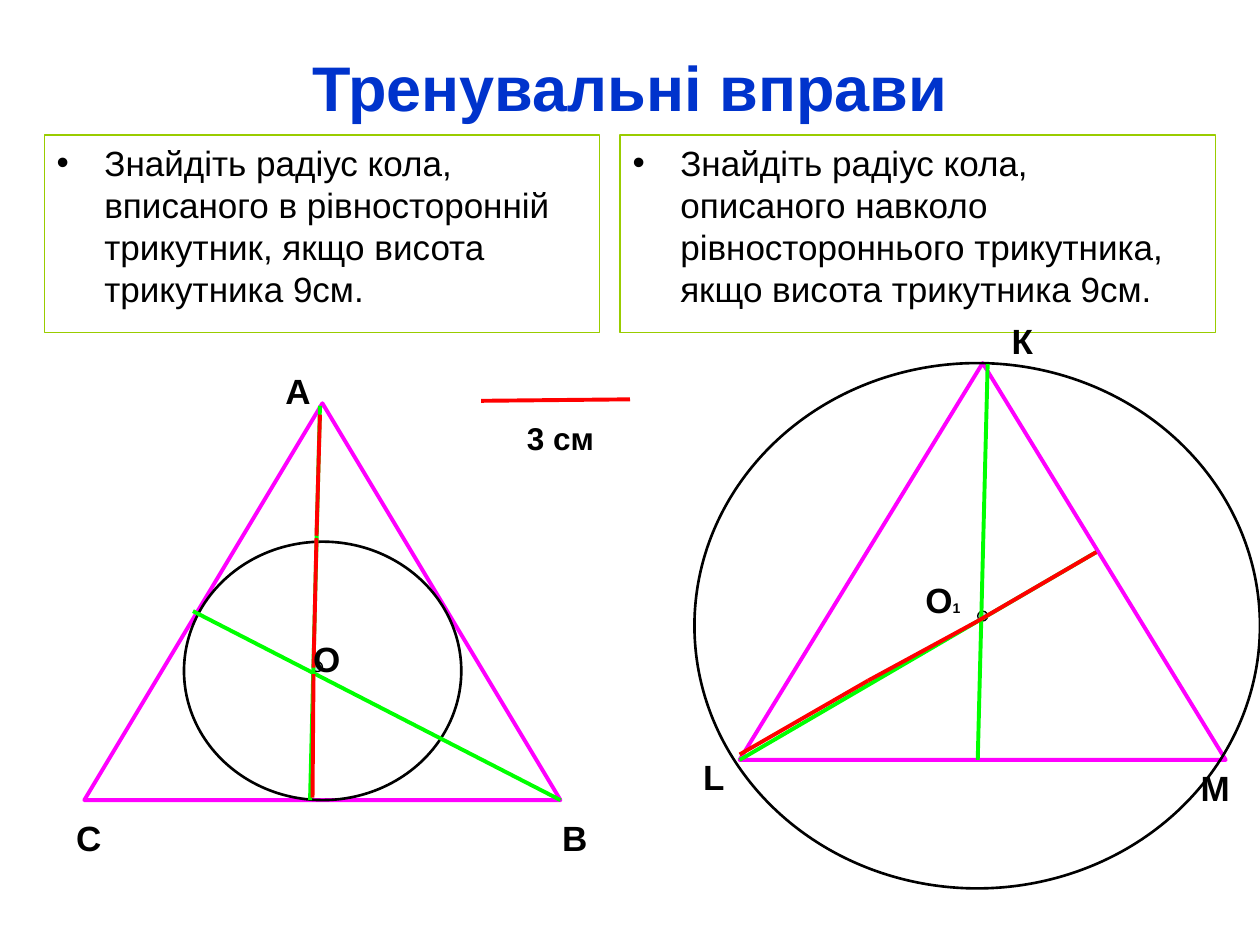
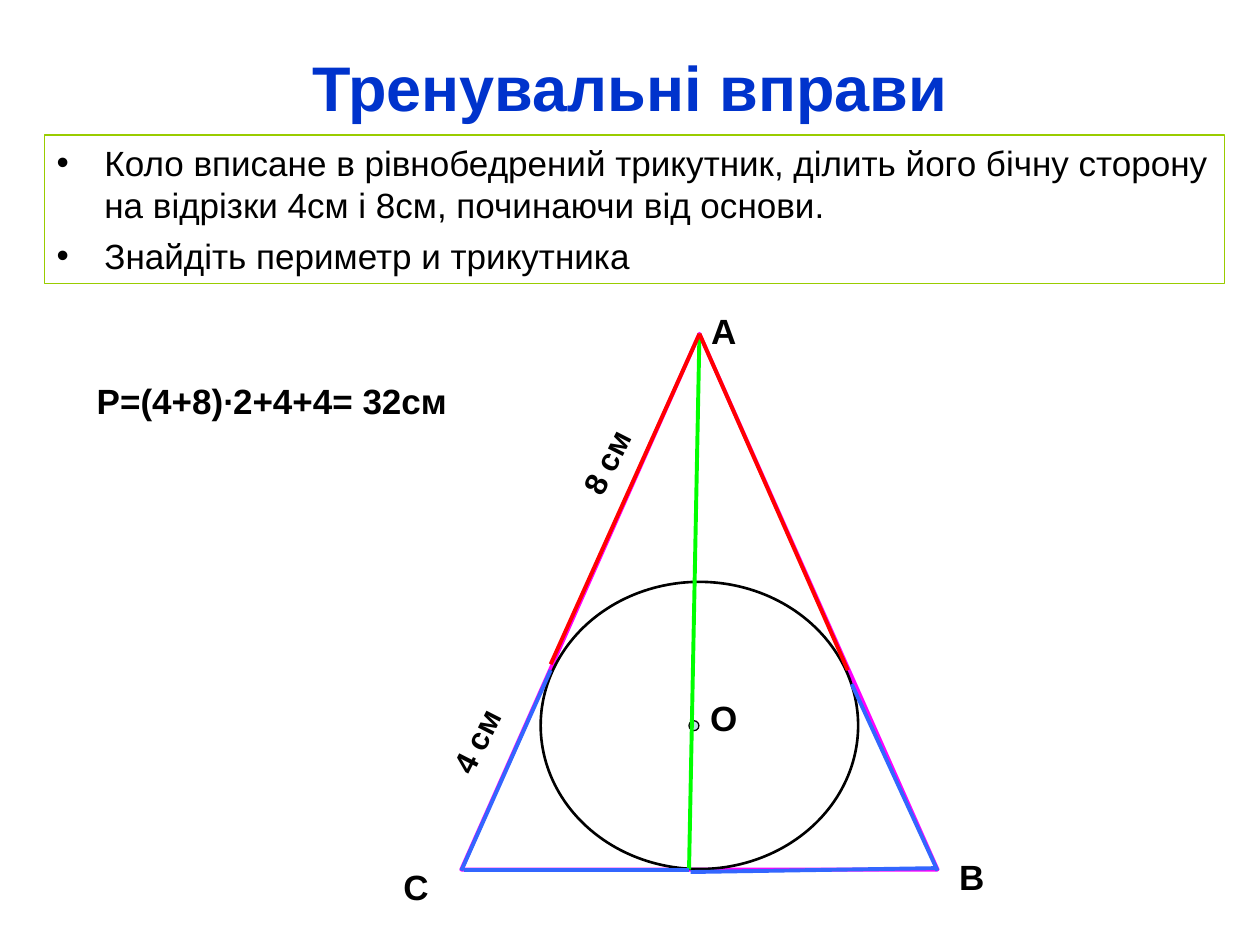
from lxml import etree
from pptx import Presentation
from pptx import util as u
from pptx.dml.color import RGBColor
from pptx.enum import shapes, text
from pptx.oxml.ns import qn

FONT = "Arial"
COLOURS = {
    "title": "0033CC", "text": "000000", "frame": "99CC00", "triangle": "FF00FF",
    "circle": "000000", "centre": "BBE0E3", "height": "00FF00",
    "red": "FF0000", "blue": "3366FF",
}
TITLE = "Тренувальні вправи"
TITLE_BOX = (1.27, 0.76, 22.86, 1.96)
BULLET_INDENT = 0.96
LETTER_SIZE = (1.8, 1.12)
MEASURE_SIZE = (3.2, 1.02)
CENTRE_SIZE = (0.2, 0.2)
SIDE_ANGLE = 296.9

# All places are in centimetres: boxes are left, top, width, height;
# segments are colour, start, end.
SLIDES = [
    {
        "layout": 3,
        "tasks": [
            ((0.89, 2.72, 11.2, 3.99),
             ["Знайдіть радіус кола, вписаного в рівносторонній трикутник, "
              "якщо висота трикутника 9см."]),
            ((12.5, 2.72, 12, 3.99),
             ["Знайдіть радіус кола, описаного навколо рівностороннього "
              "трикутника, якщо висота трикутника 9см."]),
        ],
        "triangles": [(1.7, 8.13, 9.6, 8), (14.91, 7.32, 9.8, 8)],
        "circles": [(3.71, 10.92, 5.59, 5.21), (14, 7.32, 11.4, 10.59)],
        "centres": [(6.3, 13.34), (19.71, 12.32)],
        "segments": [
            ("height", (6.45, 8.18), (6.25, 16.13)),
            ("height", (19.91, 7.34), (19.71, 15.32)),
            ("height", (11.3, 16.13), (3.89, 12.32)),
            ("height", (22.1, 11.13), (14.91, 15.32)),
            ("red", (6.32, 13.59), (6.3, 16.08)),
            ("red", (6.38, 10.85), (6.32, 13.46)),
            ("red", (6.45, 8.36), (6.38, 10.8)),
            ("red", (17.5, 13.72), (14.91, 15.21)),
            ("red", (19.71, 12.52), (17.5, 13.72)),
            ("red", (22.1, 11.13), (19.71, 12.52)),
            ("red", (12.7, 8.05), (9.7, 8.08)),
        ],
        "letters": [
            ("А", (5.11, 7.32)), ("В", (10.69, 16.33)), ("С", (0.89, 16.33)),
            ("К", (19.71, 6.32)), ("L", (13.49, 15.11)), ("M", (23.6, 15.32)),
            ("О", (5.69, 12.73)), ("О1", (18.11, 11.53)),
        ],
        "measures": [("3 см", (9.7, 8.33), 0)],
        "answers": [],
    },
    {
        "layout": 1,
        "tasks": [
            ((0.89, 2.72, 23.8, 3),
             ["Коло вписане в рівнобедрений трикутник, ділить його бічну "
              "сторону на відрізки 4см і 8см, починаючи від основи.",
              "Знайдіть периметр и трикутника"]),
        ],
        "triangles": [(9.3, 6.73, 9.6, 10.8)],
        "circles": [(10.9, 11.73, 6.4, 5.79)],
        "centres": [(13.89, 14.53)],
        "segments": [
            ("height", (13.89, 17.53), (14.1, 6.73)),
            ("blue", (11.1, 13.51), (9.3, 17.55)),
            ("red", (14.1, 6.73), (11.1, 13.39)),
            ("red", (14.1, 6.73), (17.09, 13.51)),
            ("blue", (17.17, 13.79), (18.9, 17.55)),
            ("blue", (13.89, 17.53), (9.35, 17.53)),
            ("blue", (18.9, 17.5), (13.92, 17.58)),
        ],
        "letters": [
            ("А", (13.69, 6.12)), ("В", (18.69, 17.12)),
            ("С", (7.49, 17.32)), ("О", (13.69, 13.92)),
        ],
        "measures": [("8 см", (10.62, 8.81), SIDE_ANGLE),
                     ("4 см", (8, 14.43), SIDE_ANGLE)],
        "answers": [("Р=(4+8)∙2+4+4= 32см", (1.09, 7.52, 8.79, 1.12))],
    },
]


def colour(name):
    return RGBColor.from_string(COLOURS[name])


def in_cm(values):
    return [u.Cm(value) for value in values]


def place(shape, box):
    shape.left, shape.top, shape.width, shape.height = in_cm(box)


def outline(shape, name, width):
    shape.line.color.rgb = colour(name)
    shape.line.width = u.Pt(width)


def add_span(para, words, size=20, bold=False, ink="text"):
    span = para.add_run()
    span.text = words
    span.font.name = FONT
    span.font.size = u.Pt(size)
    span.font.bold = bold
    span.font.color.rgb = colour(ink)


def write(box, lines, align=text.PP_ALIGN.CENTER, anchor=text.MSO_ANCHOR.TOP,
          before=0, bullet=False, **look):
    """Fill the box with one paragraph per line; look goes to add_span."""
    frame = box.text_frame
    frame.word_wrap = True
    frame.auto_size = text.MSO_AUTO_SIZE.NONE
    frame.vertical_anchor = anchor
    for number, line in enumerate(lines):
        para = frame.add_paragraph() if number else frame.paragraphs[0]
        para.alignment = align
        para.space_before = u.Pt(before)
        if bullet:
            props = para._p.get_or_add_pPr()
            props.set("marL", str(u.Cm(BULLET_INDENT)))
            props.set("indent", str(-u.Cm(BULLET_INDENT)))
            etree.SubElement(props, qn("a:buChar")).set("char", "•")
        add_span(para, line, **look)


def add_figure(slide, kind, box, line, width, fill=None):
    figure = slide.shapes.add_shape(kind, *in_cm(box))
    figure.shadow.inherit = False
    outline(figure, line, width)
    if fill:
        figure.fill.solid()
        figure.fill.fore_color.rgb = colour(fill)
    else:
        figure.fill.background()


def add_segment(slide, name, start, end):
    segment = slide.shapes.add_connector(
        shapes.MSO_CONNECTOR.STRAIGHT, *in_cm(start + end))
    outline(segment, name, 2.25)
    etree.SubElement(segment._element.spPr, qn("a:effectLst"))


def add_label(slide, words, box, size=20, angle=0):
    label = slide.shapes.add_textbox(*in_cm(box))
    label.rotation = angle
    write(label, [words], size=size, bold=True)
    return label


def add_exercise(deck, page):
    slide = deck.slides.add_slide(deck.slide_layouts[page["layout"]])
    title, *bodies = slide.placeholders
    place(title, TITLE_BOX)
    write(title, [TITLE], anchor=text.MSO_ANCHOR.MIDDLE,
          size=36, bold=True, ink="title")
    for body, (box, lines) in zip(bodies, page["tasks"]):
        place(body, box)
        outline(body, "frame", 0.75)
        write(body, lines, align=text.PP_ALIGN.LEFT, before=5, bullet=True)

    preset = shapes.MSO_SHAPE
    for box in page["triangles"]:
        add_figure(slide, preset.ISOSCELES_TRIANGLE, box, "triangle", 2.25)
    for box in page["circles"]:
        add_figure(slide, preset.OVAL, box, "circle", 1.5)
    for corner in page["centres"]:
        add_figure(slide, preset.OVAL, corner + CENTRE_SIZE, "circle", 0.75, "centre")
    for segment in page["segments"]:
        add_segment(slide, *segment)

    for name, corner in page["letters"]:
        label = add_label(slide, name[0], corner + LETTER_SIZE)
        if name[1:]:
            add_span(label.text_frame.paragraphs[0], name[1:], size=8, bold=True)
    for words, corner, angle in page["measures"]:
        add_label(slide, words, corner + MEASURE_SIZE, size=18, angle=angle)
    for words, box in page["answers"]:
        add_label(slide, words, box)


def main():
    deck = Presentation()
    deck.slide_width, deck.slide_height = in_cm((25.4, 19.05))
    for page in SLIDES:
        add_exercise(deck, page)
    deck.save("out.pptx")


if __name__ == "__main__":
    main()
